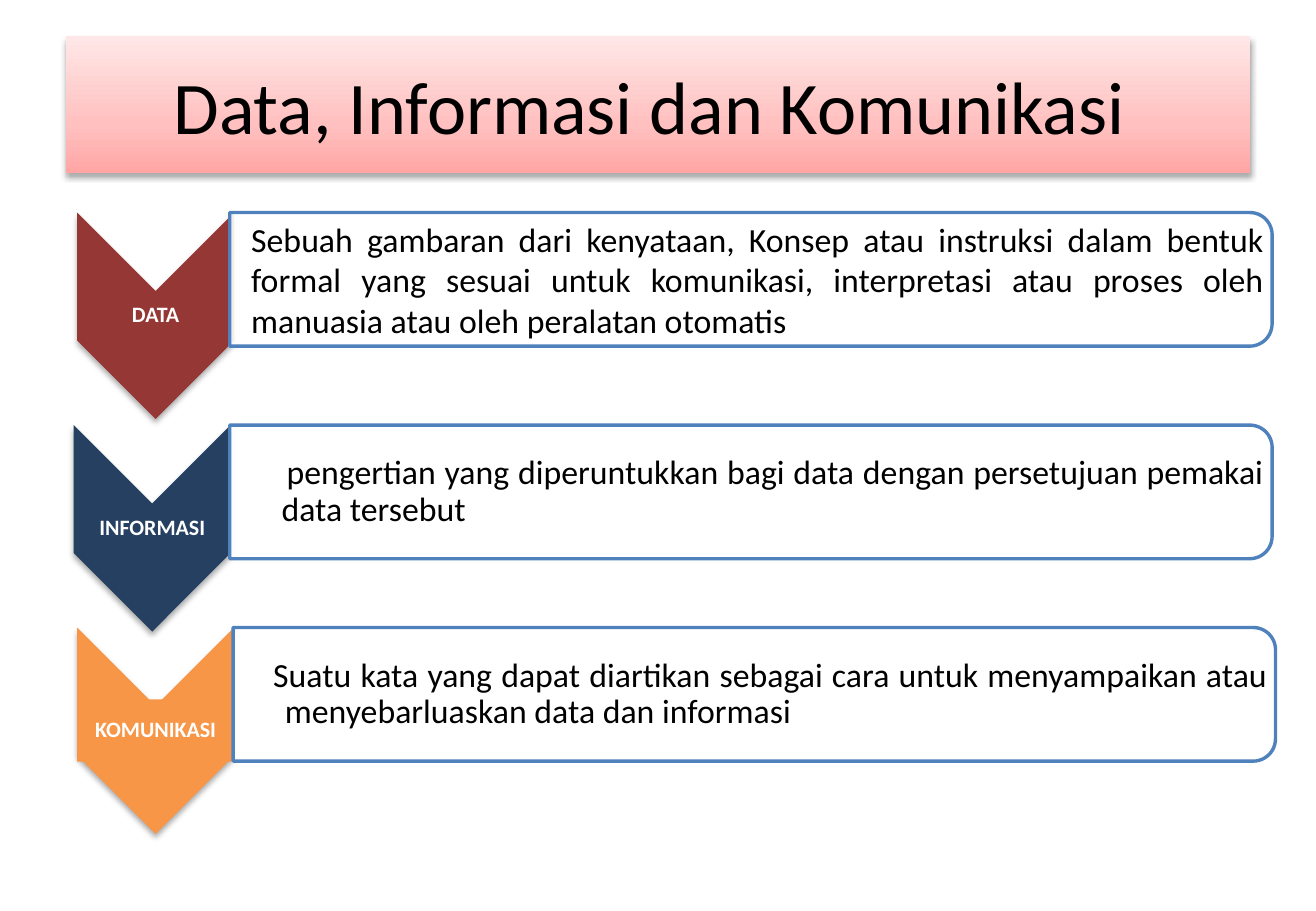
from dataclasses import dataclass
from lxml.etree import SubElement
from pptx import Presentation
from pptx.dml.color import RGBColor
from pptx.enum.shapes import MSO_SHAPE
from pptx.enum.text import MSO_ANCHOR, PP_ALIGN
from pptx.oxml import parse_xml
from pptx.oxml.ns import nsdecls, qn
from pptx.util import Pt


@dataclass(frozen=True)
class Theme:
    font: str = "Calibri"
    text: str = "000000"
    paper: str = "FFFFFF"
    outline: str = "4F81BD"
    title_stops: tuple = ((0, "FFA6A5"), (35, "FFC0BF"), (100, "FFE7E7"))
    title_size: int = 44
    body_size: int = 20
    label_size: int = 13


def write(sp, text, size, color, font, bold=False, align=PP_ALIGN.CENTER,
          spacing=1.0, margin=0, indent=0, insets=(1, 1, 1, 1)):
    """Put one formatted paragraph in a shape."""
    tf = sp.text_frame
    tf.word_wrap = True
    tf.vertical_anchor = MSO_ANCHOR.MIDDLE
    tf.margin_left, tf.margin_top, tf.margin_right, tf.margin_bottom = map(Pt, insets)
    p = tf.paragraphs[0]
    p.alignment, p.line_spacing = align, spacing
    pPr = p._p.get_or_add_pPr()
    pPr.set("marL", str(Pt(margin)))
    pPr.set("indent", str(Pt(indent)))
    r = p.add_run()
    r.text = text
    r.font.name, r.font.size, r.font.bold = font, Pt(size), bold
    r.font.color.rgb = RGBColor.from_string(color)


class SlideBuilder:
    def __init__(self, slide, theme):
        self.s, self.theme = slide, theme

    def shape(self, kind, x, y, w, h, fill, rotation=0, line=None):
        sp = self.s.shapes.add_shape(kind, Pt(x), Pt(y), Pt(w), Pt(h))
        sp.rotation = rotation
        sp.shadow.inherit = False
        sp.fill.solid()
        sp.fill.fore_color.rgb = RGBColor.from_string(fill)
        if line:
            sp.line.color.rgb = RGBColor.from_string(line)
            sp.line.width = Pt(2)
        else:
            sp.line.fill.background()
        return sp

    def turned(self, kind, x, y, w, h, fill, line=None):
        """Shape turned a quarter; x, y, w, h is the area it covers."""
        return self.shape(kind, x + (w - h) / 2, y + (h - w) / 2, h, w, fill, 90, line)

    def cast_shadow(self, sp):
        effects = sp._element.spPr.find(qn("a:effectLst"))
        effects.append(parse_xml(
            f'<a:outerShdw {nsdecls("a")} blurRad="{Pt(3.5)}" dist="{Pt(2.2)}" '
            'dir="5400000" rotWithShape="0"><a:srgbClr val="000000">'
            '<a:alpha val="32000"/></a:srgbClr></a:outerShdw>'))

    def title(self, text, x, y, w, h):
        t = self.theme
        sp = self.shape(MSO_SHAPE.RECTANGLE, x, y, w, h, t.paper)
        stops = "".join(f'<a:gs pos="{pos * 1000}"><a:srgbClr val="{color}"/></a:gs>'
                        for pos, color in t.title_stops)
        spPr = sp._element.spPr
        spPr.replace(spPr.find(qn("a:solidFill")), parse_xml(
            f'<a:gradFill {nsdecls("a")} rotWithShape="1"><a:gsLst>{stops}</a:gsLst>'
            '<a:lin ang="16200000" scaled="0"/></a:gradFill>'))
        self.cast_shadow(sp)
        write(sp, text, t.title_size, t.text, t.font, insets=(7.2, 3.6, 7.2, 3.6))

    def chevron(self, label, x, y, color, boxed):
        t = self.theme
        sp = self.turned(MSO_SHAPE.CHEVRON, x, y, 93, 122.4, color)
        self.cast_shadow(sp)
        area = x, y + 42.5, 93, 37
        if boxed:
            sp = self.shape(MSO_SHAPE.RECTANGLE, *area, color)
        else:
            sp = self.s.shapes.add_textbox(*map(Pt, area))
        write(sp, label, t.label_size, t.paper, t.font, bold=True, spacing=0.9)

    def panel(self, text, x, y, **layout):
        t = self.theme
        sp = self.turned(MSO_SHAPE.ROUND_2_SAME_RECTANGLE, x, y, 617.8, 79.2,
                         t.paper, t.outline)
        color = sp._element.spPr.find(qn("a:solidFill"))[0]
        SubElement(color, qn("a:alpha")).set("val", "90000")
        sp = self.s.shapes.add_textbox(Pt(x + 0.5), Pt(y + 3.6), Pt(614), Pt(72))
        write(sp, text, t.body_size, t.text, t.font, align=PP_ALIGN.JUSTIFY,
              insets=(12.2, 1.5, 1.5, 1.5), **layout)


def main():
    prs = Presentation()
    prs.slide_width, prs.slide_height = Pt(780), Pt(540)
    b = SlideBuilder(prs.slides.add_slide(prs.slide_layouts[6]), Theme())

    # Title band
    b.title("Data, Informasi dan Komunikasi ", 39, 21.6, 702, 81)

    # Rows: label, colour, top, chevron left, panel left, boxed label, text, layout
    rows = (
        ("DATA", "953735", 126, 45.7, 136.2, False,
         "Sebuah gambaran dari kenyataan, Konsep atau instruksi dalam bentuk formal "
         "yang sesuai untuk komunikasi, interpretasi atau proses oleh manuasia atau "
         "oleh peralatan otomatis", {}),
        ("INFORMASI", "254061", 252, 43.7, 136.2, False,
         "pengertian yang diperuntukkan bagi data dengan persetujuan pemakai data "
         "tersebut", dict(margin=18, indent=3, spacing=0.9)),
        ("KOMUNIKASI", "F79646", 372, 45.7, 138.2, True,
         "Suatu kata yang dapat diartikan sebagai cara untuk menyampaikan atau "
         "menyebarluaskan data dan informasi", dict(margin=18, indent=-7, spacing=0.9)),
    )
    for label, color, y, chevron_x, panel_x, boxed, text, layout in rows:
        b.chevron(label, chevron_x, y, color, boxed)
        b.panel(text, panel_x, y, **layout)

    prs.save("out.pptx")


if __name__ == "__main__":
    main()
